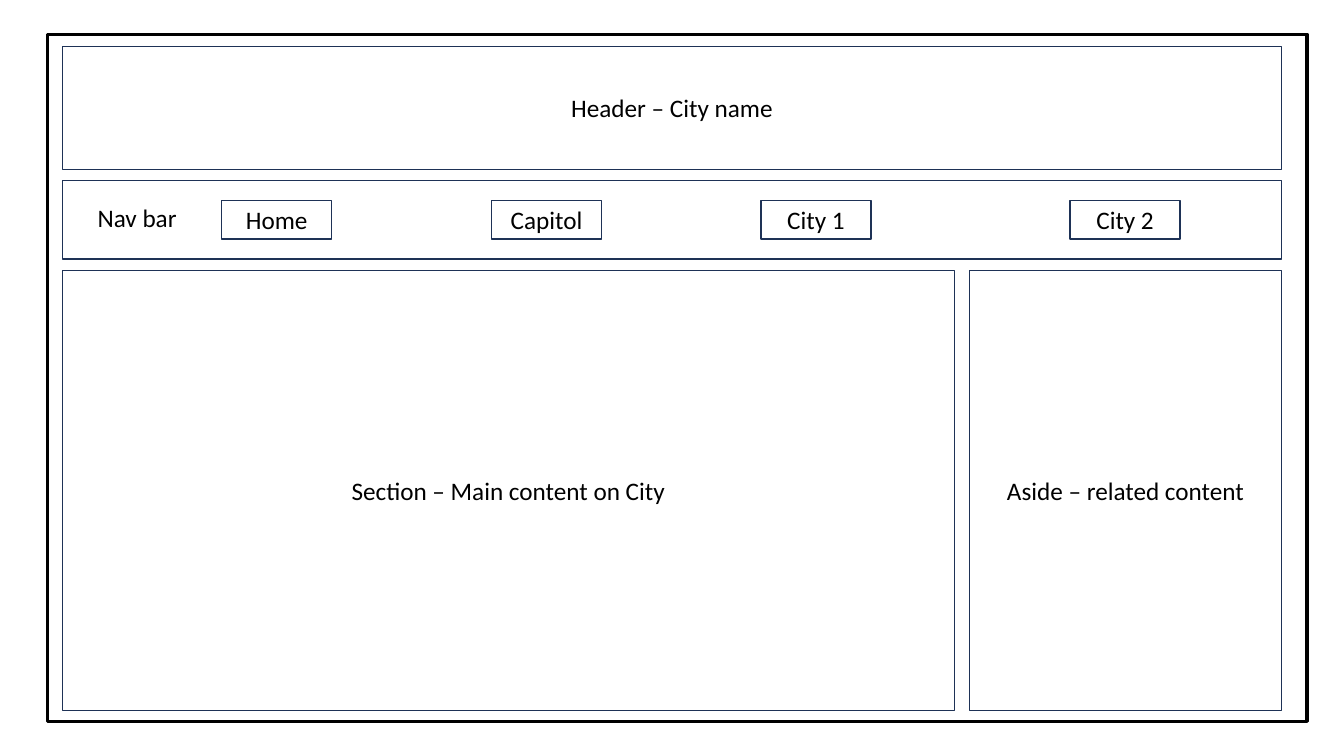
"""Build a one-slide wireframe of a city web page."""
from dataclasses import dataclass

from pptx import Presentation
from pptx import util as u
from pptx.dml.color import RGBColor
from pptx.enum import shapes, text
from pptx.slide import Slide
from pptx.text.text import TextFrame


@dataclass(frozen=True)
class Theme:
    """Colours, font and sizes in points."""
    paper: str = "FFFFFF"
    ink: str = "000000"
    edge: str = "1E3256"
    font: str = "Calibri"
    size: float = 18
    thin: float = 1
    thick: float = 2.25


@dataclass(frozen=True)
class Box:
    """A framed page area, in centimetres."""
    left: float
    top: float
    width: float
    height: float
    label: str = ""
    edge: str = Theme.edge
    line: float = Theme.thin


THEME = Theme()
LEFT, TOP, WIDTH = 1.57, 1.17, 30.73
HEAD, NAV, BODY = 3.1, 1.98, 11.1
MAIN, ASIDE = 22.48, 7.87
GAP = 0.28
NAV_TOP = TOP + HEAD + GAP
BODY_TOP = NAV_TOP + NAV + GAP
LINK_W, LINK_H = 2.77, 0.97
LINK_TOP = NAV_TOP + (NAV - LINK_H) / 2
LINKS = {"Home": 5.59, "Capitol": 12.39, "City 1": 19.18, "City 2": 26.97}

AREAS = [
    Box(1.19, 0.86, 31.75, 17.32, edge=THEME.ink, line=THEME.thick),
    Box(LEFT, TOP, WIDTH, HEAD, "Header – City name"),
    Box(LEFT, NAV_TOP, WIDTH, NAV),
    Box(LEFT, BODY_TOP, MAIN, BODY, "Section – Main content on City"),
    Box(LEFT + WIDTH - ASIDE, BODY_TOP, ASIDE, BODY, "Aside – related content"),
]


def write(frame: TextFrame, label: str, align: text.PP_ALIGN) -> None:
    """Add one styled run to a text frame."""
    para = frame.paragraphs[0]
    para.alignment = align
    run = para.add_run()
    run.text = label
    run.font.name = THEME.font
    run.font.size = u.Pt(THEME.size)
    run.font.color.rgb = RGBColor.from_string(THEME.ink)


def draw(slide: Slide, box: Box) -> None:
    """Draw a framed area with its centred label."""
    shape = slide.shapes.add_shape(
        shapes.MSO_SHAPE.RECTANGLE,
        u.Cm(box.left), u.Cm(box.top), u.Cm(box.width), u.Cm(box.height))
    shape.shadow.inherit = False
    shape.fill.solid()
    shape.fill.fore_color.rgb = RGBColor.from_string(THEME.paper)
    shape.line.color.rgb = RGBColor.from_string(box.edge)
    shape.line.width = u.Pt(box.line)
    if box.label:
        shape.text_frame.vertical_anchor = text.MSO_ANCHOR.MIDDLE
        write(shape.text_frame, box.label, text.PP_ALIGN.CENTER)


def tag(slide: Slide, label: str) -> None:
    """Add the caption of the navigation bar."""
    note = slide.shapes.add_textbox(
        u.Cm(2.21), u.Cm(4.98), u.Cm(2.54), u.Cm(1.02))
    frame = note.text_frame
    frame.word_wrap = False
    frame.auto_size = text.MSO_AUTO_SIZE.SHAPE_TO_FIT_TEXT
    write(frame, label, text.PP_ALIGN.LEFT)


def main() -> None:
    """Build and save the slide."""
    deck = Presentation()
    deck.slide_width, deck.slide_height = u.Cm(33.87), u.Cm(19.05)
    slide = deck.slides.add_slide(deck.slide_layouts[6])
    links = [Box(left, LINK_TOP, LINK_W, LINK_H, name)
             for name, left in LINKS.items()]
    for box in AREAS + links:
        draw(slide, box)
    tag(slide, "Nav bar")
    deck.save("out.pptx")


if __name__ == "__main__":
    main()
